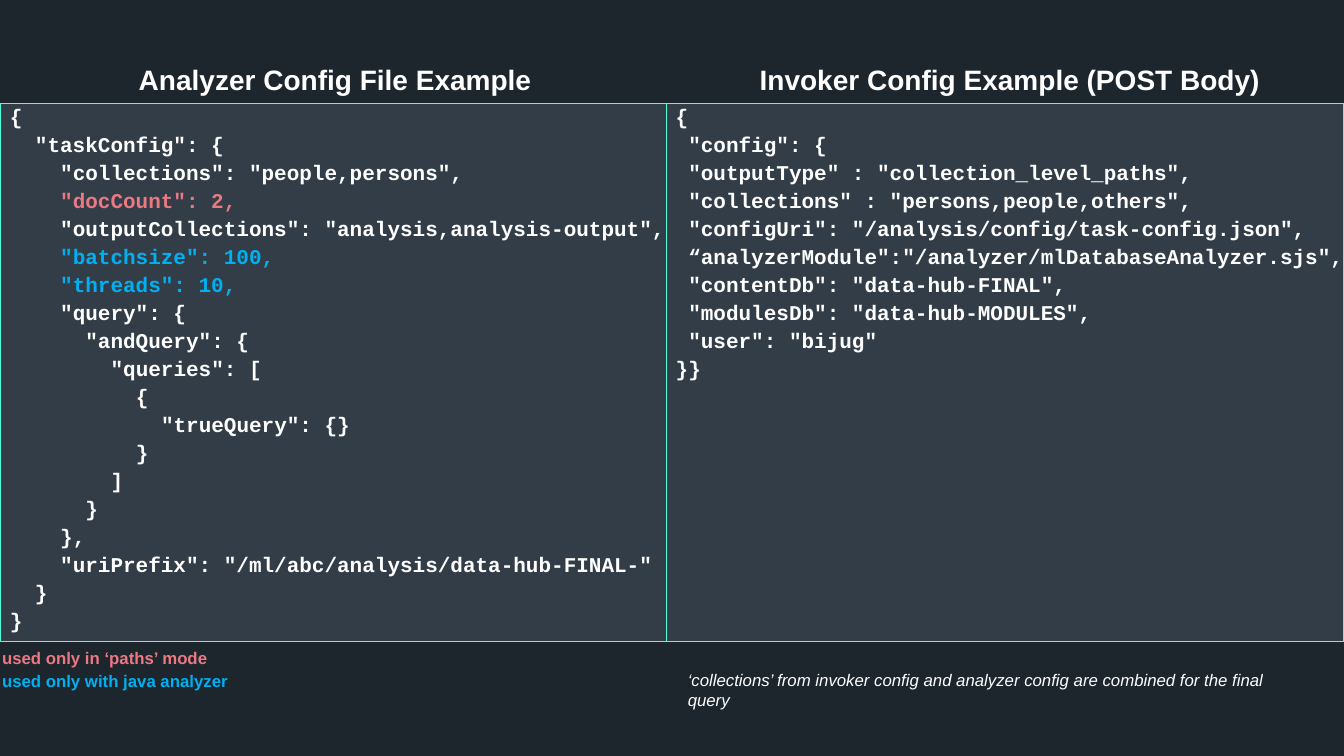
from pptx import Presentation, util as u
from pptx.dml.color import RGBColor
from pptx.enum import shapes, text

WHITE, CORAL, BLUE = "FFFFFF", "EA7982", "00B0F0"
BACKDROP, PANEL, OUTLINE = "1D252D", "333D47", "4CFFDD"

deck = Presentation()
deck.slide_width, deck.slide_height = u.Inches(13.33), u.Inches(7.5)
page = deck.slides.add_slide(deck.slide_layouts[6])
column, row = deck.slide_width / 100, deck.slide_height / 100


def paint(target, color):
    target.solid()
    target.fore_color.rgb = RGBColor.from_string(color)


def add_block(area, lines, size, font="Arial", gap=1, bold=True, italic=False,
              align=text.PP_ALIGN.LEFT, panel=False, colors={}):
    left, top, width, height = area
    box = page.shapes.add_shape(
        shapes.MSO_SHAPE.RECTANGLE, int(left * column), int(top * row),
        int(width * column), int(height * row)) if panel else page.shapes.add_textbox(
        int(left * column), int(top * row), int(width * column), int(height * row))
    if panel:
        box.shadow.inherit = False
        paint(box.fill, PANEL)
        paint(box.line.fill, OUTLINE)
        box.line.width = u.Pt(0.75)
    frame = box.text_frame
    frame.word_wrap = True
    frame.vertical_anchor = text.MSO_ANCHOR.TOP
    frame.margin_left = frame.margin_right = frame.margin_top = frame.margin_bottom = 0
    frame.text = "\n".join(line.lstrip() for line in lines)
    for para, line in zip(frame.paragraphs, lines):
        depth = len(line) - len(line.lstrip())
        indent = u.Inches(0.09) + depth * u.Pt(0.6 * size)
        para._p.get_or_add_pPr().set("marL", str(indent))
        para._p.get_or_add_pPr().set("indent", "0")
        para.alignment = align
        para.space_before = para.space_after = u.Pt(gap)
        para.line_spacing = u.Pt(1.2 * size)
        for span in para.runs:
            span.font.name, span.font.size = font, u.Pt(size)
            span.font.bold, span.font.italic = bold, italic
            paint(span.font.fill, colors.get(line.strip(), WHITE))


paint(page.background.fill, BACKDROP)

analyzer_code = """{
  "taskConfig": {
    "collections": "people,persons",
    "docCount": 2,
    "outputCollections": "analysis,analysis-output",
    "batchsize": 100,
    "threads": 10,
    "query": {
      "andQuery": {
        "queries": [
          {
            "trueQuery": {}
          }
        ]
      }
    },
    "uriPrefix": "/ml/abc/analysis/data-hub-FINAL-"
  }
}"""

invoker_code = """{
 "config": {
 "outputType" : "collection_level_paths",
 "collections" : "persons,people,others",
 "configUri": "/analysis/config/task-config.json",
 “analyzerModule":"/analyzer/mlDatabaseAnalyzer.sjs",
 "contentDb": "data-hub-FINAL",
 "modulesDb": "data-hub-MODULES",
 "user": "bijug"
}}"""

code_colors = {'"docCount": 2,': CORAL, '"batchsize": 100,': BLUE, '"threads": 10,': BLUE}
split = 49.6
panels = [
    ("Analyzer Config File Example", analyzer_code, -0.4, 0.05),
    ("Invoker Config Example (POST Body)", invoker_code, split, split),
]
for (title, code, title_left, code_left), right in zip(panels, (split, 100)):
    add_block((title_left, 8.27, right - title_left, 4.93), [title], 20, gap=10,
              align=text.PP_ALIGN.CENTER)
    add_block((code_left, 13.73, right - code_left, 71.07), code.splitlines(), 15,
              font="Courier New", panel=True, colors=code_colors)

legend = {"used only in ‘paths’ mode": CORAL, "used only with java analyzer": BLUE}
add_block((-0.52, 85.73, 22.3, 6.13), list(legend), 12, colors=legend)
add_block((50.5, 88.53, 46.6, 6.4),
          ["‘collections’ from invoker config and analyzer config are combined for the final query"],
          12, gap=10, bold=False, italic=True)

deck.save("out.pptx")
